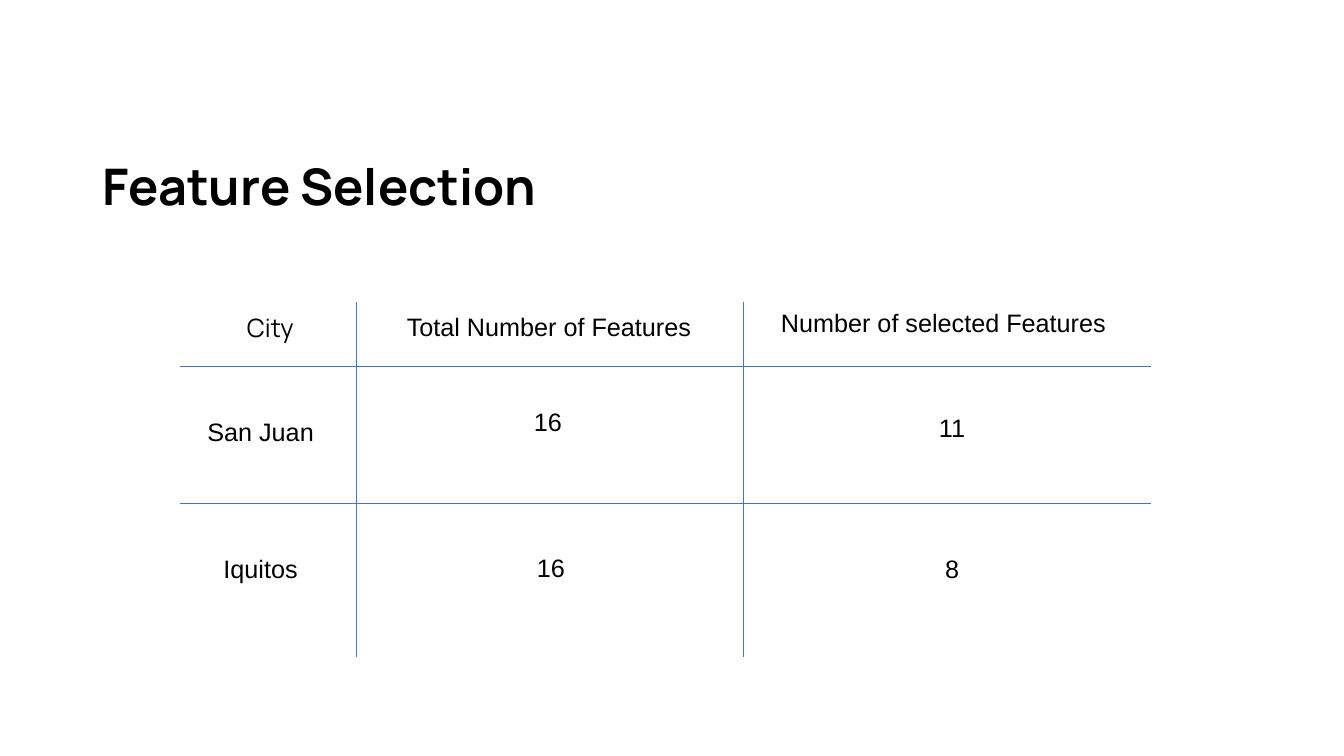
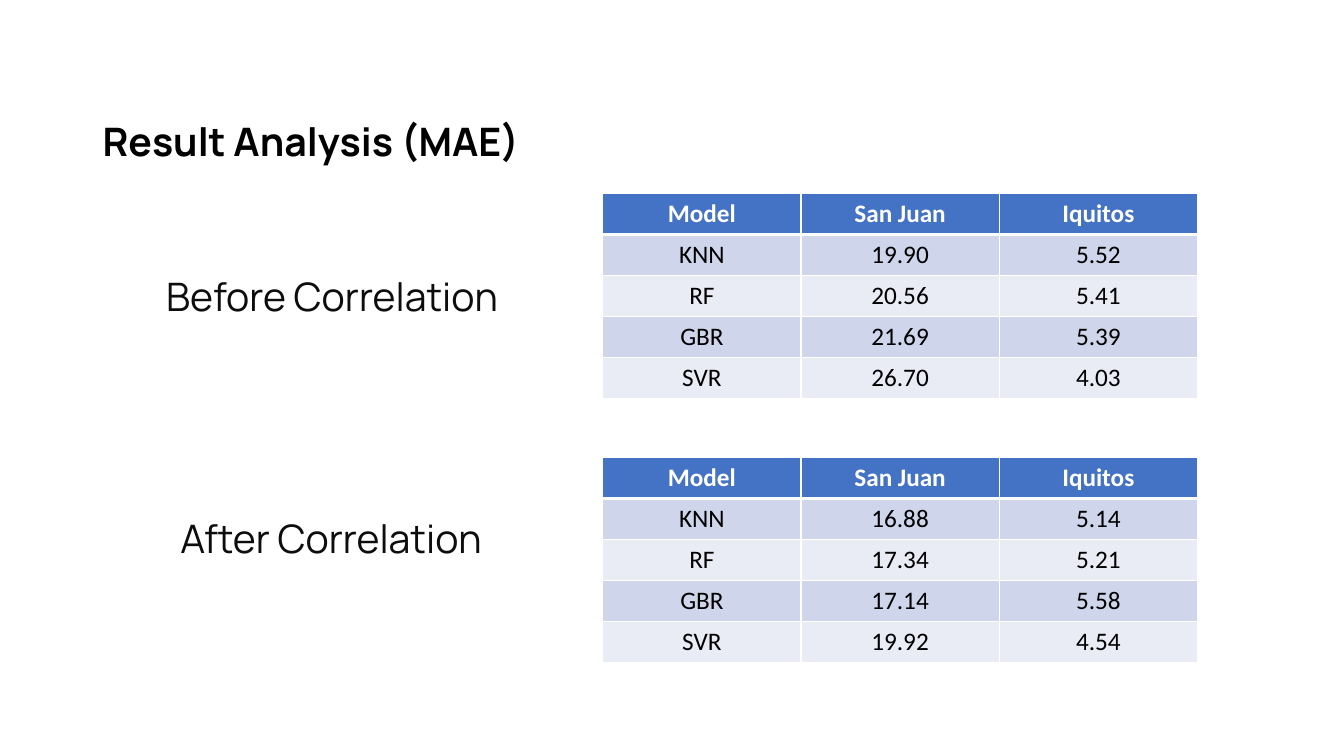
"""Build two slides on feature selection and model errors."""
from lxml import etree
from pptx import Presentation, util as u
from pptx.dml.color import RGBColor
from pptx.enum import shapes, text
from pptx.oxml.ns import qn

HUE = {"ink": "000000", "soft": "0D0D0D", "blue": "4472C4",
       "odd": "CFD5EA", "even": "E9EBF5", "white": "FFFFFF"}
HEAD = "Manrope"
MID = text.MSO_ANCHOR.MIDDLE
CENTER = text.PP_ALIGN.CENTER

deck = Presentation()
deck.slide_width, deck.slide_height = u.Inches(13.33), u.Inches(7.5)
COL, ROW = deck.slide_width / 100, deck.slide_height / 100


def place(*box):
    """Turn percent shares (x, y, x, y) into lengths."""
    return [round(n * (ROW if i % 2 else COL)) for i, n in enumerate(box)]


def write(page, words, box, size, font=HEAD, hue="ink", bold=False,
          anchor=text.MSO_ANCHOR.TOP, align=None, gap=None):
    """Add a text box with one styled paragraph."""
    frame = page.shapes.add_textbox(*place(*box)).text_frame
    frame.word_wrap = True
    frame.vertical_anchor = anchor
    para = frame.paragraphs[0]
    para.text = words
    para.alignment = align
    para.line_spacing = gap
    para.font.size, para.font.name, para.font.bold = u.Pt(size), font, bold
    para.font.color.rgb = RGBColor.from_string(HUE[hue])


titles = [("Feature Selection", 15.33, 36, 0.9),
          ("Result Analysis (MAE)", 8.93, 28, None)]
pages = []
for words, top, size, gap in titles:
    page = deck.slides.add_slide(deck.slide_layouts[6])
    write(page, words, (6.9, top, 86.25, 19.33), size, bold=True,
          anchor=MID, gap=gap)
    pages.append(page)
first, second = pages

left, right, top, base = 13.43, 85.65, 40, 86.93
rules = [(left, y, right, y) for y in (48.4, 66.53)]
rules += [(x, top, x, base) for x in (26.48, 55.28)]
for ends in rules:
    rule = first.shapes.add_connector(shapes.MSO_CONNECTOR.STRAIGHT, *place(*ends))
    rule.line.color.rgb = RGBColor.from_string(HUE["blue"])
    rule.line.width = u.Pt(0.5)
    etree.SubElement(rule._element.spPr, qn("a:effectLst"))

write(first, "City", (17.63, 40.67, 6, 5.33), 18)
labels = [("Total Number of Features", 26.48, 42.27, 28.73),
          ("Number of selected Features", 54.15, 41.73, 32.1),
          ("San Juan", 14.55, 56.13, 9.68),
          ("16", 35.93, 54.93, 9.68),
          ("11", 66, 55.6, 9.68),
          ("Iquitos", 14.55, 74.27, 9.68),
          ("16", 36.15, 74.13, 9.68),
          ("8", 66, 74.27, 9.68)]
for words, x, y, wide in labels:
    write(first, words, (x, y, wide, 3.73), 18, "Arial", align=CENTER, gap=u.Pt(12))

names = ("Model", "San Juan", "Iquitos")
before = [("KNN", "19.90", "5.52"), ("RF", "20.56", "5.41"),
          ("GBR", "21.69", "5.39"), ("SVR", "26.70", "4.03")]
after = [("KNN", "16.88", "5.14"), ("RF", "17.34", "5.21"),
         ("GBR", "17.14", "5.58"), ("SVR", "19.92", "4.54")]
parts = [("Before Correlation", 11.63, 29.47, 25.6, before),
         ("After Correlation", 12.68, 61.47, 60.53, after)]
for words, x, y, top, scores in parts:
    write(second, words, (x, y, 29.25, 19.33), 28, hue="soft", anchor=MID)
    rows = [names] + scores
    grid = second.shapes.add_table(len(rows), len(names),
                                   *place(44.85, top, 44.25, 27.07)).table
    for r, row in enumerate(rows):
        fill = "odd" if r % 2 else "even"
        for c, value in enumerate(row):
            cell = grid.cell(r, c)
            props = cell._tc.get_or_add_tcPr()
            for side in "LRTB":
                thick = (r, side) in ((0, "B"), (1, "T"))
                edge = etree.SubElement(props, qn("a:ln" + side),
                                        w=str(u.Pt(3 if thick else 1)))
                paint = etree.SubElement(edge, qn("a:solidFill"))
                etree.SubElement(paint, qn("a:srgbClr"), val=HUE["white"])
            cell.fill.solid()
            cell.fill.fore_color.rgb = RGBColor.from_string(HUE[fill if r else "blue"])
            para = cell.text_frame.paragraphs[0]
            para.text = value
            para.alignment = CENTER
            para.font.size, para.font.name, para.font.bold = u.Pt(18), "Calibri", r == 0
            para.font.color.rgb = RGBColor.from_string(HUE["ink" if r else "white"])

deck.save("out.pptx")
